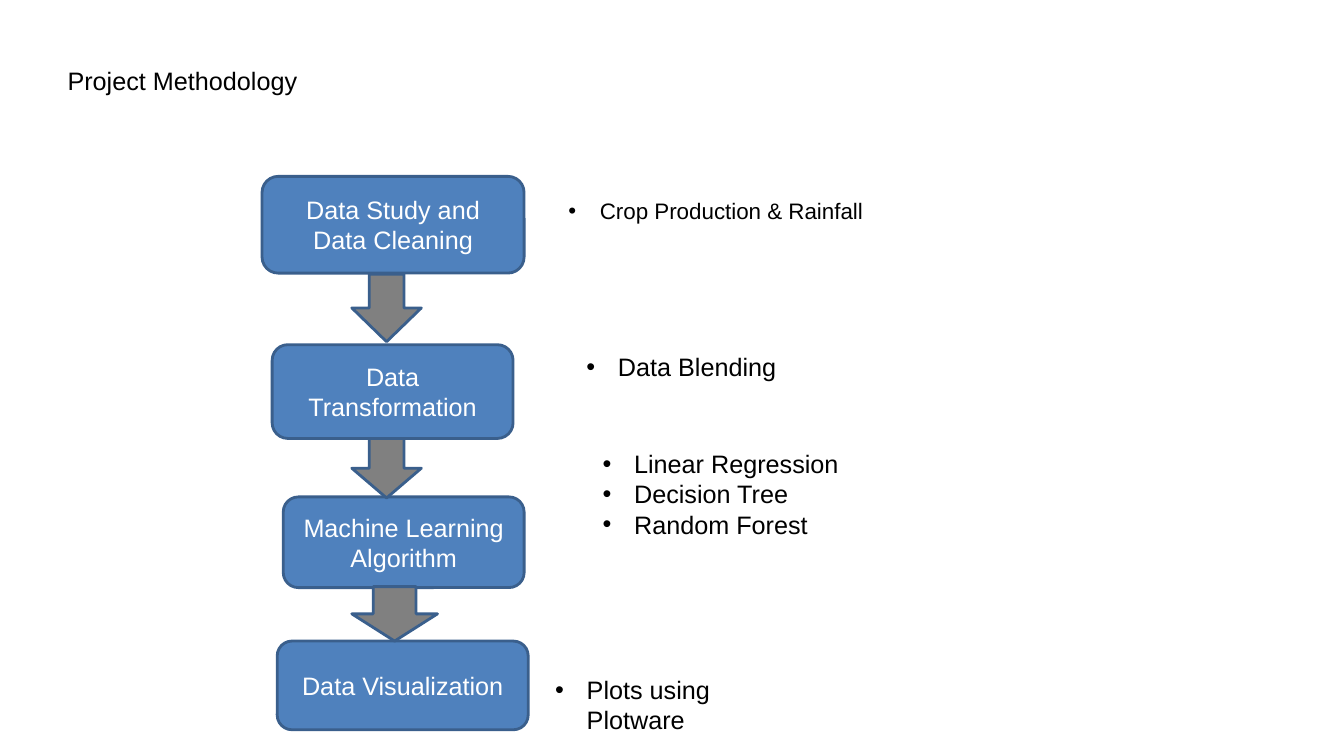
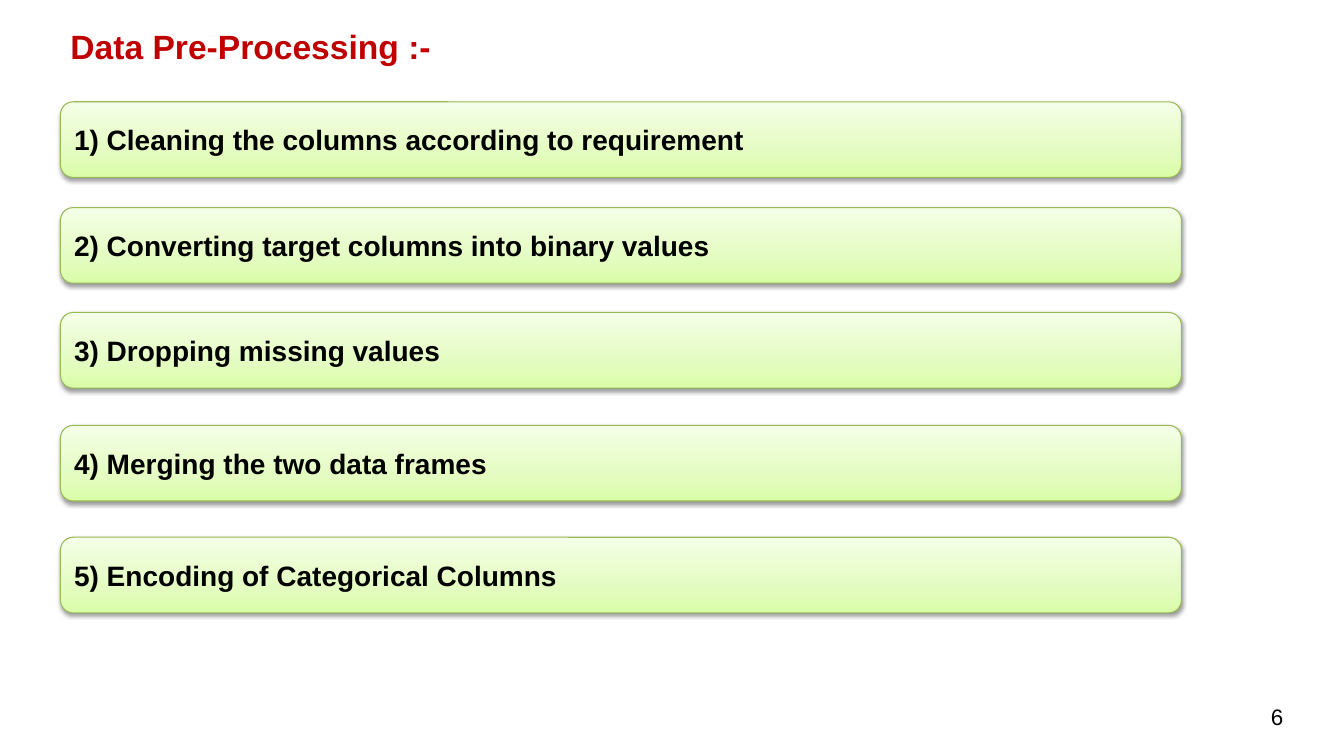
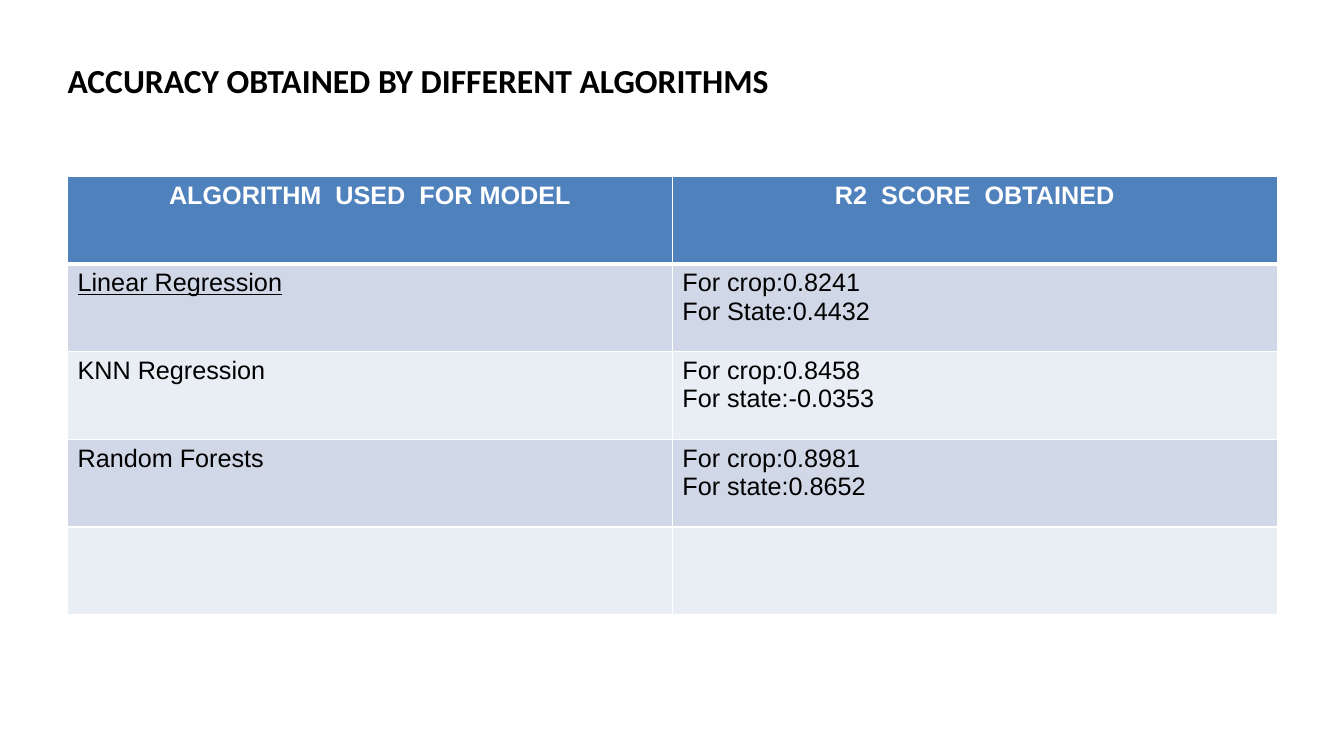
"""Builds three slides on a crop data project: method, cleaning steps and scores."""
from pptx import Presentation
from pptx.dml.color import RGBColor
from pptx.enum.shapes import MSO_SHAPE
from pptx.enum.text import MSO_ANCHOR, PP_ALIGN
from pptx.oxml import parse_xml
from pptx.util import Pt

ROUND, DOWN = MSO_SHAPE.ROUNDED_RECTANGLE, MSO_SHAPE.DOWN_ARROW
TOP, MID = MSO_ANCHOR.TOP, MSO_ANCHOR.MIDDLE
LEFT, MIDST = PP_ALIGN.LEFT, PP_ALIGN.CENTER
NS = 'xmlns:a="http://schemas.openxmlformats.org/drawingml/2006/main"'

BLUE, EDGE, GREY, GREEN = "4F81BD", "3A5F8C", "808080", "98B955"
BLACK, WHITE, RED = "000000", "FFFFFF", "C00000"
BANDS = ["D0D8E8", "E9EDF4"]
FADE = [(0, "DAFDA7"), (35, "E4FCC2"), (100, "F5FFE7")]

BODY = {"name": "Arial", "size": Pt(18), "bold": False, "color": BLACK}
SMALL = {**BODY, "size": Pt(16)}
LIGHT = {**BODY, "color": WHITE}
HEAD = {**LIGHT, "bold": True}
ITEM = {**BODY, "size": Pt(20), "bold": True}
RUBRIC = {**ITEM, "size": Pt(24), "color": RED}
CAPS = {**RUBRIC, "name": "Calibri", "color": BLACK}

STEPS = [
    ("Data Study and Data Cleaning", (187.2, 126, 187.2, 69.12)),
    ("Data Transformation", (194.4, 246.24, 172.08, 66.96)),
    ("Machine Learning Algorithm", (202.32, 354.96, 172.08, 64.8)),
    ("Data Visualization", (198, 457.92, 179.28, 63.36)),
]
ARROWS = [
    (251.28, 195.84, 49.68, 48.24),
    (251.28, 313.2, 49.68, 42.48),
    (251.28, 419.04, 61.2, 38.88),
]
NOTES = [
    (["Crop Production & Rainfall"], (398.88, 137.52, 227.52, 26.64), SMALL),
    (["Data Blending"], (411.84, 247.68, 227.52, 28.8), BODY),
    (["Linear Regression", "Decision Tree", "Random Forest"],
     (423.36, 316.8, 244.8, 94.32), BODY),
    (["Plots using Plotware"], (389.52, 478.08, 188.64, 51.12), BODY),
]
TASKS = [
    (72.72, "1) Cleaning the columns according to requirement"),
    (148.32, "2) Converting target columns into binary values"),
    (223.2, "3) Dropping missing values"),
    (303.84, "4) Merging the two data frames"),
    (383.76, "5) Encoding of Categorical Columns"),
]
SCORES = [
    (["ALGORITHM  USED  FOR MODEL"], ["R2  SCORE  OBTAINED"]),
    (["Linear Regression"], ["For crop:0.8241", "For State:0.4432"]),
    (["KNN Regression"], ["For crop:0.8458", "For state:-0.0353"]),
    (["Random Forests"], ["For crop:0.8981", "For state:0.8652"]),
    ([], []),
]


def hue(code):
    return RGBColor.from_string(code)


def place(box):
    return [Pt(n) for n in box]


def write(frame, lines, style, align=LEFT, dots=False):
    for i, line in enumerate(lines):
        para = frame.add_paragraph() if i else frame.paragraphs[0]
        para.alignment = align
        run = para.add_run()
        run.text = line
        for key, val in style.items():
            if key == "color":
                run.font.color.rgb = hue(val)
            else:
                setattr(run.font, key, val)
        if dots:
            props = para._p.get_or_add_pPr()
            props.set("marL", str(Pt(22.5)))
            props.set("indent", str(Pt(-22.5)))
            props.append(parse_xml(f'<a:buFont {NS} typeface="Arial"/>'))
            props.append(parse_xml(f'<a:buChar {NS} char="\u2022"/>'))


def label(slide, box, lines, style, anchor=TOP, dots=False):
    frame = slide.shapes.add_textbox(*place(box)).text_frame
    frame.word_wrap = True
    frame.vertical_anchor = anchor
    write(frame, lines, style, dots=dots)
    return frame


def title(slide, text, style):
    frame = label(slide, (48.24, 21.6, 864, 90), [text], style, MID)
    for side, gap in {"left": 0, "right": 0, "top": 0, "bottom": 19}.items():
        setattr(frame, "margin_" + side, Pt(gap))


def block(slide, kind, box, fill, edge, width):
    shape = slide.shapes.add_shape(kind, *place(box))
    shape.shadow.inherit = False
    shape.fill.solid()
    shape.fill.fore_color.rgb = hue(fill)
    shape.line.color.rgb = hue(edge)
    shape.line.width = Pt(width)
    shape.text_frame.word_wrap = True
    shape.text_frame.vertical_anchor = MID
    return shape


def glow(shape):
    props = shape._element.spPr
    stops = "".join(
        f'<a:gs pos="{pos * 1000}"><a:srgbClr val="{code}"/></a:gs>'
        for pos, code in FADE)
    solid = props.find("{*}solidFill")
    props.replace(solid, parse_xml(
        f'<a:gradFill {NS} rotWithShape="1"><a:gsLst>{stops}</a:gsLst>'
        '<a:lin ang="16200000" scaled="0"/></a:gradFill>'))
    props.find("{*}effectLst").append(parse_xml(
        f'<a:outerShdw {NS} blurRad="{Pt(3.1)}" dist="{Pt(1.6)}" dir="5400000"'
        f' rotWithShape="0"><a:srgbClr val="{BLACK}"><a:alpha val="38000"/>'
        '</a:srgbClr></a:outerShdw>'))


def rule(cell, low):
    props = cell._tc.get_or_add_tcPr()
    for i, (side, width) in enumerate(zip("LRTB", (1, 1, 1, low))):
        props.insert(i, parse_xml(
            f'<a:ln{side} {NS} w="{Pt(width)}"><a:solidFill>'
            f'<a:srgbClr val="{WHITE}"/></a:solidFill></a:ln{side}>'))


def method(slide):
    title(slide, "Project Methodology", BODY)
    for text, box in STEPS:
        step = block(slide, ROUND, box, BLUE, EDGE, 2)
        write(step.text_frame, [text], LIGHT, MIDST)
    for box in ARROWS:
        block(slide, DOWN, box, GREY, EDGE, 2)
    for lines, box, style in NOTES:
        label(slide, box, lines, style, dots=True)


def tasks(slide):
    for top, text in TASKS:
        bar = block(slide, ROUND, (43.2, top, 800.64, 54), FADE[0][1], GREEN, 0.75)
        glow(bar)
        write(bar.text_frame, [text], ITEM)
    label(slide, (43.2, 15.12, 276, 36), ["Data Pre-Processing :-"], RUBRIC)
    label(slide, (900.72, 498.96, 24, 26.64), ["6"], SMALL)


def scores(slide):
    title(slide, "ACCURACY OBTAINED BY DIFFERENT ALGORITHMS", CAPS)
    box = place((48.24, 126, 864, 313.2))
    grid = slide.shapes.add_table(len(SCORES), 2, *box).table
    for r, row in enumerate(SCORES):
        for c, lines in enumerate(row):
            cell = grid.cell(r, c)
            cell.fill.solid()
            cell.fill.fore_color.rgb = hue(BANDS[(r - 1) % 2] if r else BLUE)
            rule(cell, 1 if r else 3)
            style = {**BODY, "underline": (r, c) == (1, 0)} if r else HEAD
            write(cell.text_frame, lines, style, LEFT if r else MIDST)


deck = Presentation()
deck.slide_width, deck.slide_height = Pt(960), Pt(540)
for draw in (method, tasks, scores):
    draw(deck.slides.add_slide(deck.slide_layouts[6]))
deck.save("out.pptx")
